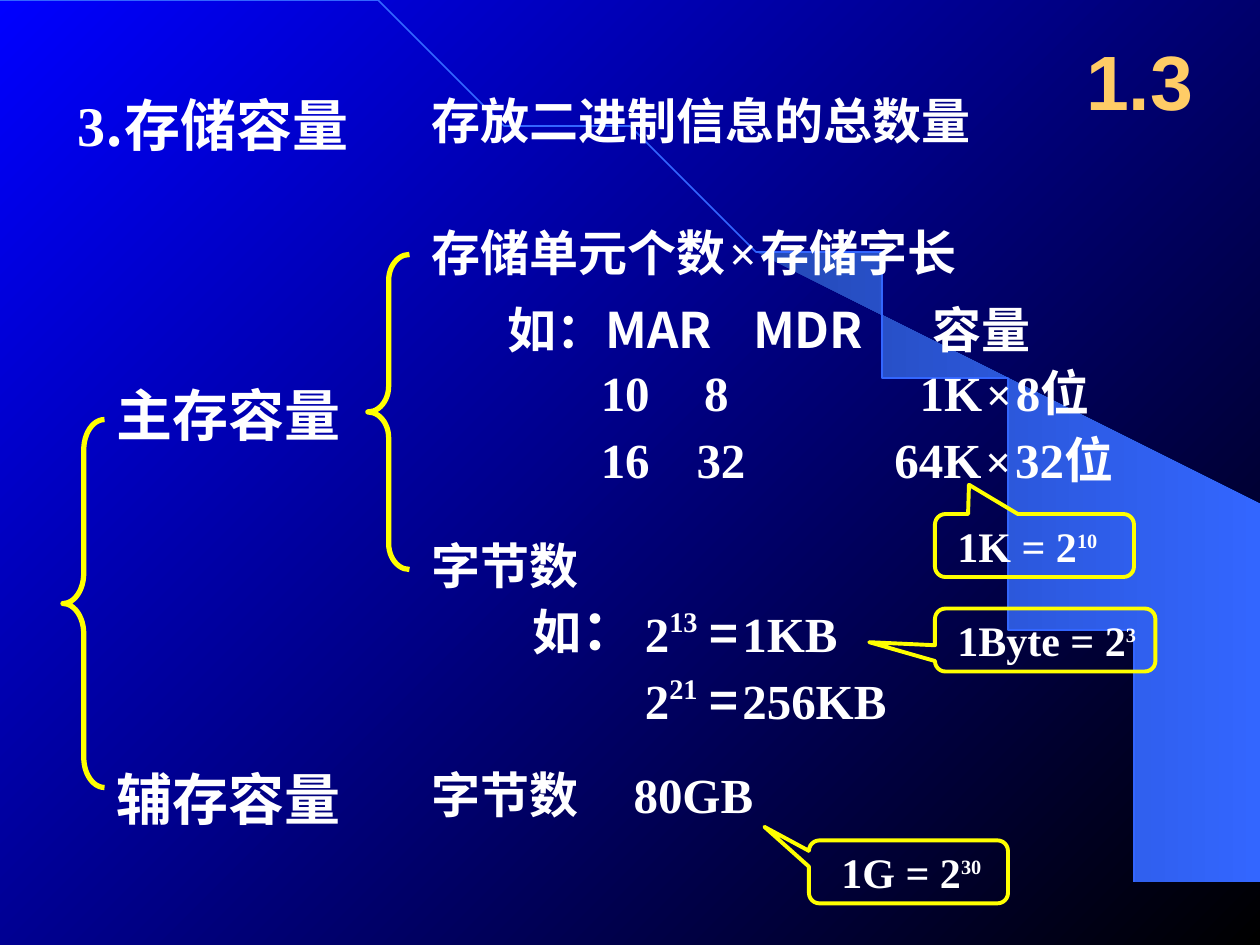
import math

import pptx
import pptx.dml.color
import pptx.enum.shapes
import pptx.enum.text
import pptx.oxml
import pptx.oxml.ns
import pptx.util
from pptx.util import Inches

SANS, SERIF = "Noto Sans CJK SC", "Times New Roman"
COLORS = {
    "blue": "0000FF", "black": "000000", "wedge": "2449B6", "rim": "3366FF",
    "text": "FFFFFF", "accent": "FFFF00", "number": "FFCC66",
}
RIM_WIDTH, RIM_HEIGHT = 9.2, 7.49

# Run: plain text, or (text, overrides)
GAP = (" ", {"size": 9})
TIMES = ("×", {"size": 26})


def power(exponent, size=28):
    return (exponent, {"size": size, "baseline": 40})


# left, top, width, height, size, font, tab stops, runs
LABELS = [
    (0.52, 0.67, 3.48, 0.63, 32, SANS, [], [("3", {"name": SERIF}), ".存储容量"]),
    (3.33, 0.67, 5.58, 0.57, 28, SANS, [], ["存放二进制信息的总数量"]),
    (0.83, 2.97, 1.99, 0.63, 32, SANS, [], ["主存容量"]),
    (0.83, 6.02, 1.99, 0.63, 32, SANS, [], ["辅存容量"]),
    (3.33, 1.72, 5.58, 0.57, 28, SANS, [],
     ["存储单元个数", GAP, ("×", {"name": SERIF}), GAP, "存储字长"]),
    (3.93, 2.33, 5.74, 0.57, 28, SANS, [1.95, 3.37], ["如：MAR\tMDR\t容量"]),
    (4.67, 2.83, 2.5, 0.57, 28, SERIF, [0.82], ["10\t8"]),
    (4.67, 3.36, 2.5, 0.57, 28, SERIF, [0.76], ["16\t32"]),
    (7.2, 2.83, 2.25, 0.57, 28, SERIF, [], ["1K", GAP, TIMES, GAP, "8位"]),
    (7, 3.36, 2.33, 0.57, 28, SERIF, [], ["64K", GAP, TIMES, GAP, "32位"]),
    (3.33, 4.2, 1.84, 0.57, 28, SANS, [], ["字节数"]),
    (4.13, 4.67, 1, 0.63, 28, SANS, [], ["如", ("：", {"size": 32})]),
    (3.33, 6.02, 3.75, 0.57, 28, SANS, [1.6], ["字节数\t", ("80GB", {"name": SERIF})]),
]
LABELS += [
    (5.02, top, 2.84, 0.57, 28, SERIF, [0.51],
     ["2", power(exponent), "\t", ("=", {"name": SANS}), (" ", {"size": 10}), result])
    for top, exponent, result in [(4.74, "13", "1KB"), (5.27, "21", "256KB")]
]

# left, top, width, height, curl
BRACES = [(0.5, 3.33, 0.33, 2.92, 0.729), (2.92, 2.02, 0.33, 2.5, 0.625)]

# left, top, width, pointer x and y, text left, text, exponent
CALLOUTS = [
    (7.42, 4.08, 1.58, -0.329, -0.965, 7.5, "1K = 2", "10"),
    (7.42, 4.83, 1.75, -0.798, 0.035, 7.5, "1Byte = 2", "3"),
    (6.42, 6.67, 1.58, -0.724, -0.715, 6.58, "1G = 2", "30"),
]


def rgb(name):
    return pptx.dml.color.RGBColor.from_string(COLORS[name])


def set_gradient(fill, start, end, angle):
    fill.gradient()
    fill.gradient_angle = angle
    for stop, name, position in zip(fill.gradient_stops, (start, end), (0, 1)):
        stop.color.rgb = rgb(name)
        stop.position = position


def rim_points(start_x, steps=60):
    """Points on the quarter ellipse from start_x down to the bottom edge."""
    first = math.asin(start_x / RIM_WIDTH)
    angles = [first + (math.pi / 2 - first) * i / steps for i in range(steps + 1)]
    return [(RIM_WIDTH * math.sin(a), RIM_HEIGHT * (1 - math.cos(a))) for a in angles]


def add_outline(slide, points, close):
    builder = slide.shapes.build_freeform(*points[0], scale=Inches(1))
    builder.add_line_segments(points[1:], close=close)
    shape = builder.convert_to_shape()
    shape.shadow.inherit = False
    return shape


def add_line_shape(slide, kind, box, adjustments, width):
    shape = slide.shapes.add_shape(kind, *map(Inches, box))
    shape.shadow.inherit = False
    shape.fill.background()
    shape.line.color.rgb = rgb("accent")
    shape.line.width = pptx.util.Pt(width)
    for index, value in enumerate(adjustments):
        shape.adjustments[index] = value


def add_label(slide, left, top, width, height, size, font, tabs, runs):
    box = slide.shapes.add_textbox(*map(Inches, (left, top, width, height)))
    box.text_frame.word_wrap = True
    paragraph = box.text_frame.paragraphs[0]
    properties = paragraph._p.get_or_add_pPr()
    if tabs:
        tab_list = pptx.oxml.parse_xml(f"<a:tabLst {pptx.oxml.ns.nsdecls('a')}/>")
        for position in tabs:
            tab_list.append(pptx.oxml.parse_xml(
                f'<a:tab {pptx.oxml.ns.nsdecls("a")} pos="{Inches(position)}" algn="l"/>'))
        properties.append(tab_list)
    paragraph.font.size = pptx.util.Pt(size)
    paragraph.font.bold = True
    paragraph.font.name = font
    paragraph.font.color.rgb = rgb("text")
    latin = properties.find(".//" + pptx.oxml.ns.qn("a:latin"))
    latin.addnext(pptx.oxml.parse_xml(
        f'<a:ea {pptx.oxml.ns.nsdecls("a")} typeface="{SANS}"/>'))
    for item in runs:
        text, overrides = (item, {}) if isinstance(item, str) else item
        run = paragraph.add_run()
        run.text = text
        if "size" in overrides:
            run.font.size = pptx.util.Pt(overrides["size"])
        if "name" in overrides:
            run.font.name = overrides["name"]
        if "baseline" in overrides:
            run._r.get_or_add_rPr().set("baseline", str(overrides["baseline"] * 1000))


def format_title(title):
    title.left, title.top, title.width, title.height = map(Inches, (8.42, 0.17, 1.25, 0.92))
    title.text_frame.text = "1.3"
    title.text_frame.vertical_anchor = pptx.enum.text.MSO_ANCHOR.MIDDLE
    paragraph = title.text_frame.paragraphs[0]
    paragraph.alignment = pptx.enum.text.PP_ALIGN.CENTER
    paragraph.font.size = pptx.util.Pt(44)
    paragraph.font.bold = True
    paragraph.font.name = "Arial"
    paragraph.font.color.rgb = rgb("number")


def main():
    presentation = pptx.Presentation()
    presentation.slide_width, presentation.slide_height = Inches(10), Inches(7.5)
    slide = presentation.slides.add_slide(presentation.slide_layouts[5])
    set_gradient(slide.background.fill, "blue", "black", 315)

    wedge = add_outline(slide, rim_points(5.89) + [(9.99, 7.49), (9.99, 4.23)], True)
    set_gradient(wedge.fill, "wedge", "rim", 0)
    wedge.line.fill.background()
    rim = add_outline(slide, rim_points(0), False)
    rim.fill.background()
    rim.line.color.rgb = rgb("rim")
    rim.line.width = pptx.util.Pt(1)

    format_title(slide.shapes.title)
    for label in LABELS:
        add_label(slide, *label)
    shapes = pptx.enum.shapes.MSO_SHAPE
    for *box, curl in BRACES:
        add_line_shape(slide, shapes.LEFT_BRACE, box, (curl, 0.5), 3)
    for left, top, width, x, y, text_left, text, exponent in CALLOUTS:
        add_line_shape(slide, shapes.ROUNDED_RECTANGULAR_CALLOUT,
                       (left, top, width, 0.5), (x, y, 0.167), 2.25)
        add_label(slide, text_left, top, 2.08, 0.5, 24, SERIF, [],
                  [text, power(exponent, 20)])
    presentation.save("out.pptx")


if __name__ == "__main__":
    main()
